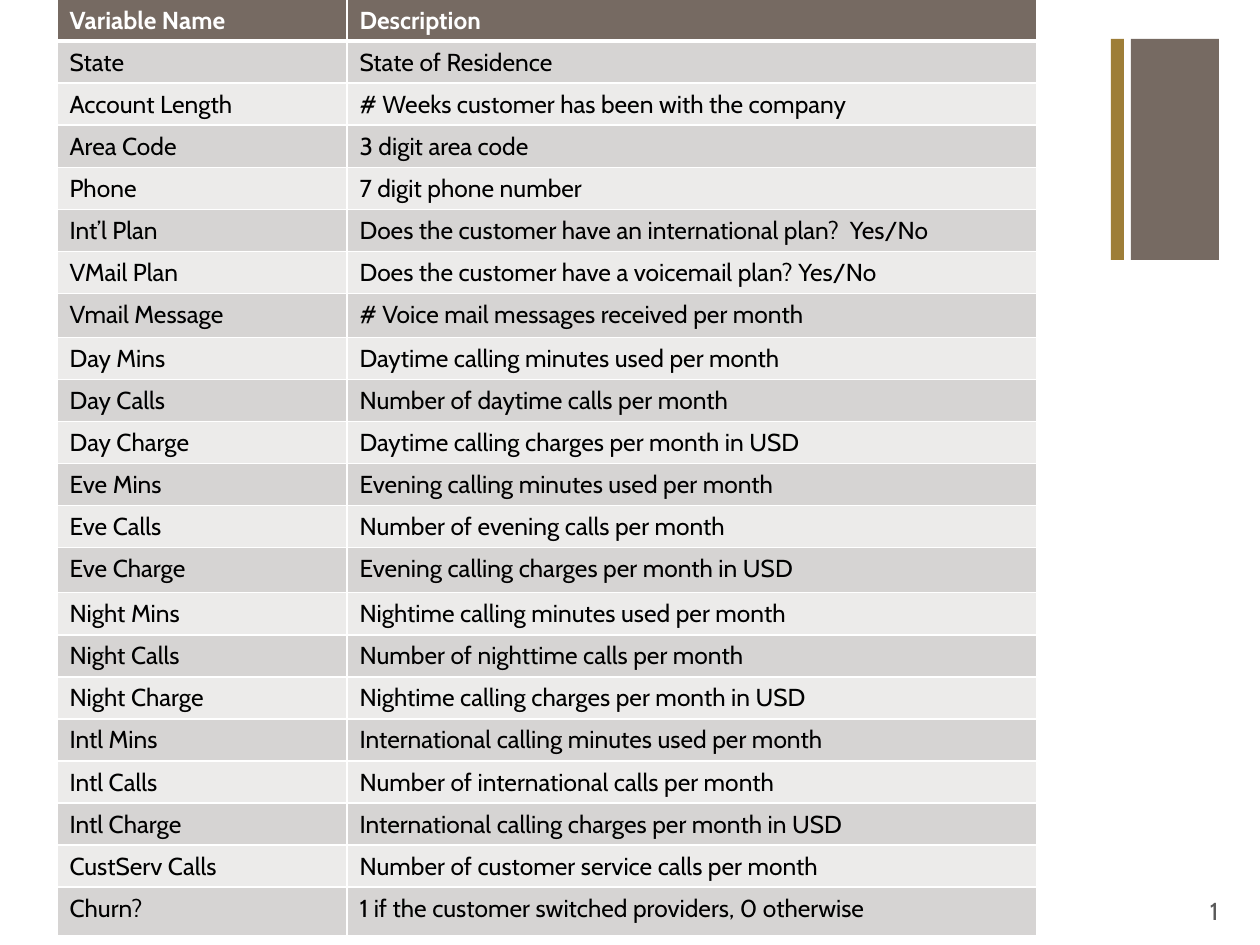
from dataclasses import dataclass

import lxml.etree
import pptx
import pptx.dml.color
import pptx.enum.shapes
import pptx.enum.text
import pptx.oxml
import pptx.oxml.ns
import pptx.util

EMU_PER_PX = 914400 // 126


@dataclass(frozen=True)
class Theme:
    font: str = "Cabin"
    size: int = 14
    brown: str = "766A62"
    gold: str = "9E7E38"
    band_dark: str = "D6D4D3"
    band_light: str = "ECEBEA"
    white: str = "FFFFFF"
    black: str = "000000"
    gray: str = "595959"


@dataclass(frozen=True)
class Box:
    left: int
    top: int
    width: int
    height: int

    def emu(self) -> list[int]:
        return [px(value) for value in (self.left, self.top, self.width, self.height)]


@dataclass(frozen=True)
class Variable:
    name: str
    description: str
    height: int = 42


THEME = Theme()
COLUMN_WIDTHS = (290, 690)
TABLE_LEFT, TABLE_TOP = 57, -1
NUMBER_BOX = Box(1154, 886, 77, 50)
ACCENT_BARS = (
    (Box(1131, 39, 88, 221), THEME.brown),
    (Box(1111, 39, 13, 221), THEME.gold),
)
VARIABLES = (
    Variable("Variable Name", "Description"),
    Variable("State", "State of Residence"),
    Variable("Account Length", "# Weeks customer has been with the company"),
    Variable("Area Code", "3 digit area code"),
    Variable("Phone", "7 digit phone number"),
    Variable("Int’l Plan", "Does the customer have an international plan?  Yes/No"),
    Variable("VMail Plan", "Does the customer have a voicemail plan? Yes/No"),
    Variable("Vmail Message", "# Voice mail messages received per month", 44),
    Variable("Day Mins", "Daytime calling minutes used per month"),
    Variable("Day Calls", "Number of daytime calls per month"),
    Variable("Day Charge", "Daytime calling charges per month in USD"),
    Variable("Eve Mins", "Evening calling minutes used per month"),
    Variable("Eve Calls", "Number of evening calls per month"),
    Variable("Eve Charge", "Evening calling charges per month in USD", 45),
    Variable("Night Mins", "Nightime calling minutes used per month"),
    Variable("Night Calls", "Number of nighttime calls per month"),
    Variable("Night Charge", "Nightime calling charges per month in USD"),
    Variable("Intl Mins", "International calling minutes used per month"),
    Variable("Intl Calls", "Number of international calls per month"),
    Variable("Intl Charge", "International calling charges per month in USD"),
    Variable("CustServ Calls", "Number of customer service calls per month"),
    Variable("Churn?", "1 if the customer switched providers, 0 otherwise", 49),
)


def px(value: int) -> int:
    return value * EMU_PER_PX


def rgb(color: str) -> pptx.dml.color.RGBColor:
    return pptx.dml.color.RGBColor.from_string(color)


def format_font(font, color: str, bold: bool = False) -> None:
    values = {"name": THEME.font, "size": pptx.util.Pt(THEME.size), "bold": bold}
    for attribute, value in values.items():
        setattr(font, attribute, value)
    font.color.rgb = rgb(color)


def add_bar(slide, box: Box, color: str) -> None:
    bar = slide.shapes.add_shape(pptx.enum.shapes.MSO_SHAPE.RECTANGLE, *box.emu())
    bar.shadow.inherit = False
    bar.fill.solid()
    bar.fill.fore_color.rgb = rgb(color)
    bar.line.fill.background()


def add_borders(cell, top: int, bottom: int) -> None:
    properties = cell._tc.get_or_add_tcPr()
    for side, points in (("L", 1), ("R", 1), ("T", top), ("B", bottom)):
        properties.append(pptx.oxml.parse_xml(
            f'<a:ln{side} {pptx.oxml.ns.nsdecls("a")} w="{pptx.util.Pt(points)}">'
            f'<a:solidFill><a:srgbClr val="{THEME.white}"/></a:solidFill></a:ln{side}>'
        ))


def fill_cell(cell, text: str, row: int) -> None:
    header = row == 0
    band = THEME.band_dark if row % 2 else THEME.band_light
    # The rule under the header is heavier than the others
    add_borders(cell, top=3 if row == 1 else 1, bottom=3 if header else 1)
    cell.fill.solid()
    cell.fill.fore_color.rgb = rgb(THEME.brown if header else band)
    run = cell.text_frame.paragraphs[0].add_run()
    run.text = text
    format_font(run.font, THEME.white if header else THEME.black, header)


def add_variable_table(slide) -> None:
    box = Box(TABLE_LEFT, TABLE_TOP, sum(COLUMN_WIDTHS),
              sum(variable.height for variable in VARIABLES))
    table = slide.shapes.add_table(len(VARIABLES), len(COLUMN_WIDTHS), *box.emu()).table
    for column, width in zip(table.columns, COLUMN_WIDTHS):
        column.width = px(width)
    for row, variable in enumerate(VARIABLES):
        table.rows[row].height = px(variable.height)
        for column, text in enumerate((variable.name, variable.description)):
            fill_cell(table.cell(row, column), text, row)


def add_slide_number(slide, number: int) -> None:
    frame = slide.shapes.add_textbox(*NUMBER_BOX.emu()).text_frame
    frame.word_wrap = True
    frame.vertical_anchor = pptx.enum.text.MSO_ANCHOR.MIDDLE
    paragraph = frame.paragraphs[0]
    paragraph.alignment = pptx.enum.text.PP_ALIGN.RIGHT
    run = paragraph.add_run()
    run.text = str(number)
    format_font(run.font, THEME.gray)
    # Turn the run into a live slide number field
    element = run._r
    field = lxml.etree.Element(pptx.oxml.ns.qn("a:fld"), {
        "id": "{B6F15528-21DE-4FAA-801E-634DDDAF4B2B}", "type": "slidenum"})
    element.addprevious(field)
    field.extend(list(element))
    element.getparent().remove(element)


def main() -> None:
    presentation = pptx.Presentation()
    presentation.slide_width = pptx.util.Inches(10)
    presentation.slide_height = pptx.util.Inches(7.5)
    slide = presentation.slides.add_slide(presentation.slide_layouts[6])

    # Accent bars at the right edge
    for box, color in ACCENT_BARS:
        add_bar(slide, box, color)

    # Slide number and variable dictionary
    add_slide_number(slide, 3)
    add_variable_table(slide)

    presentation.save("out.pptx")


if __name__ == "__main__":
    main()
